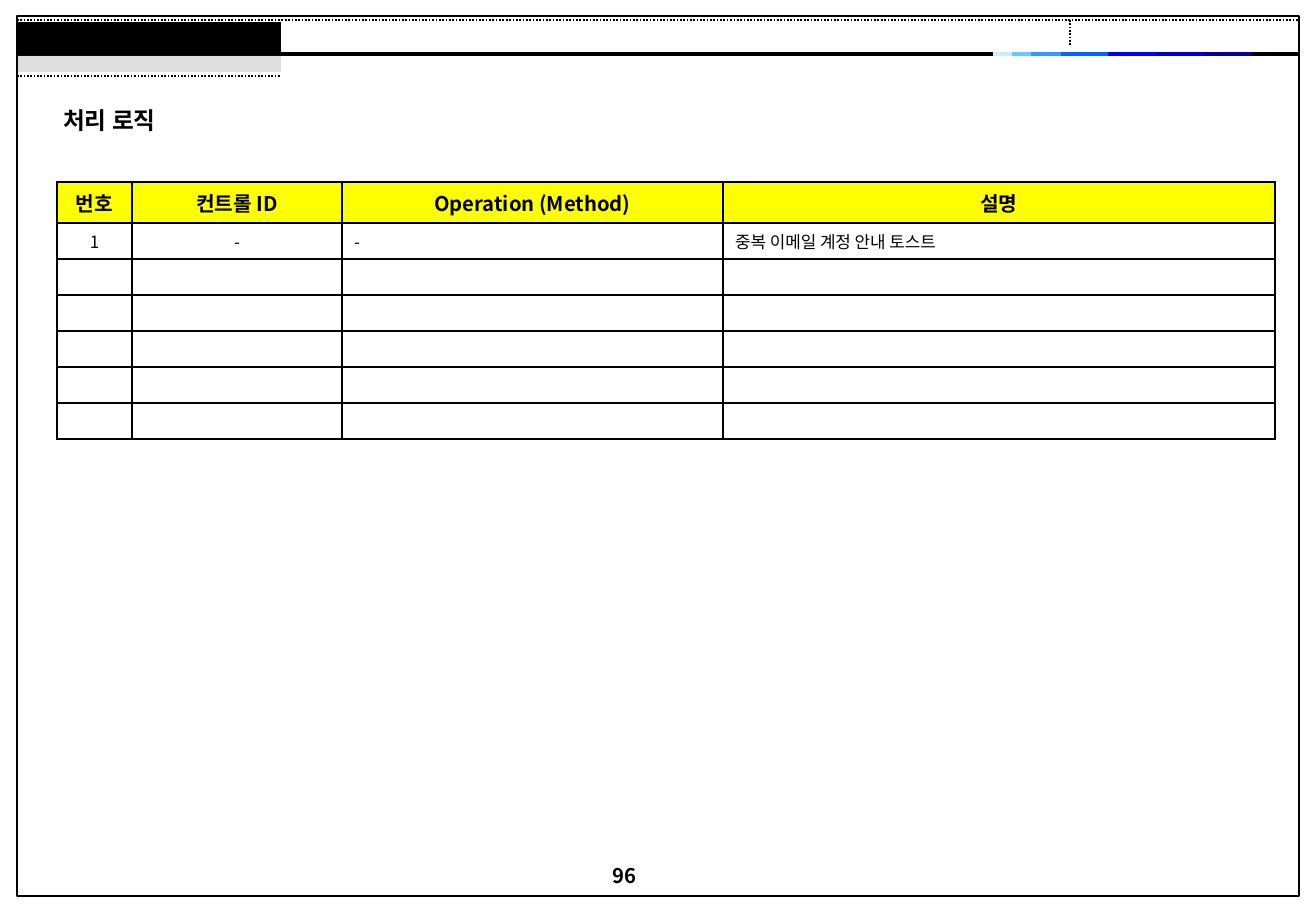
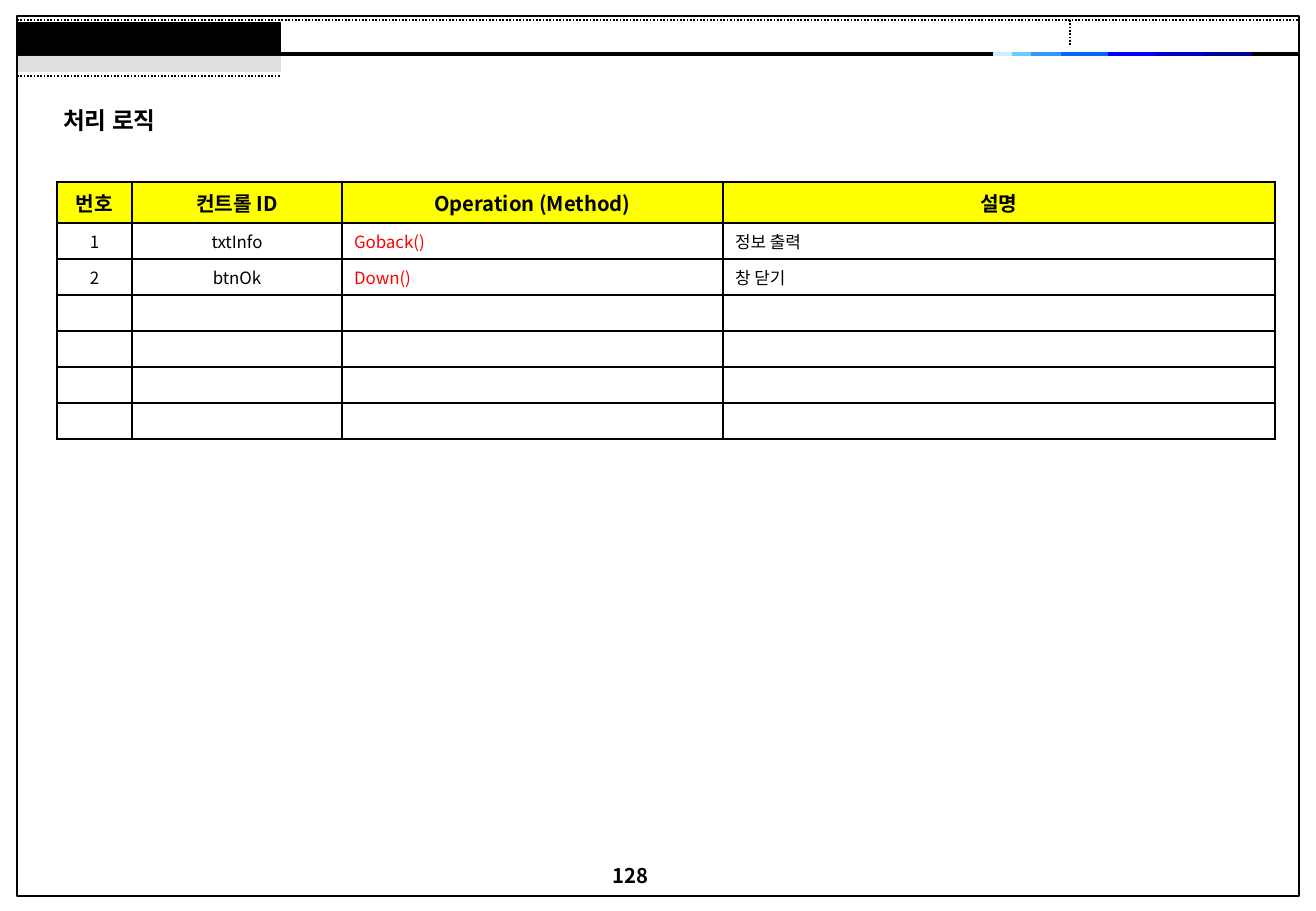
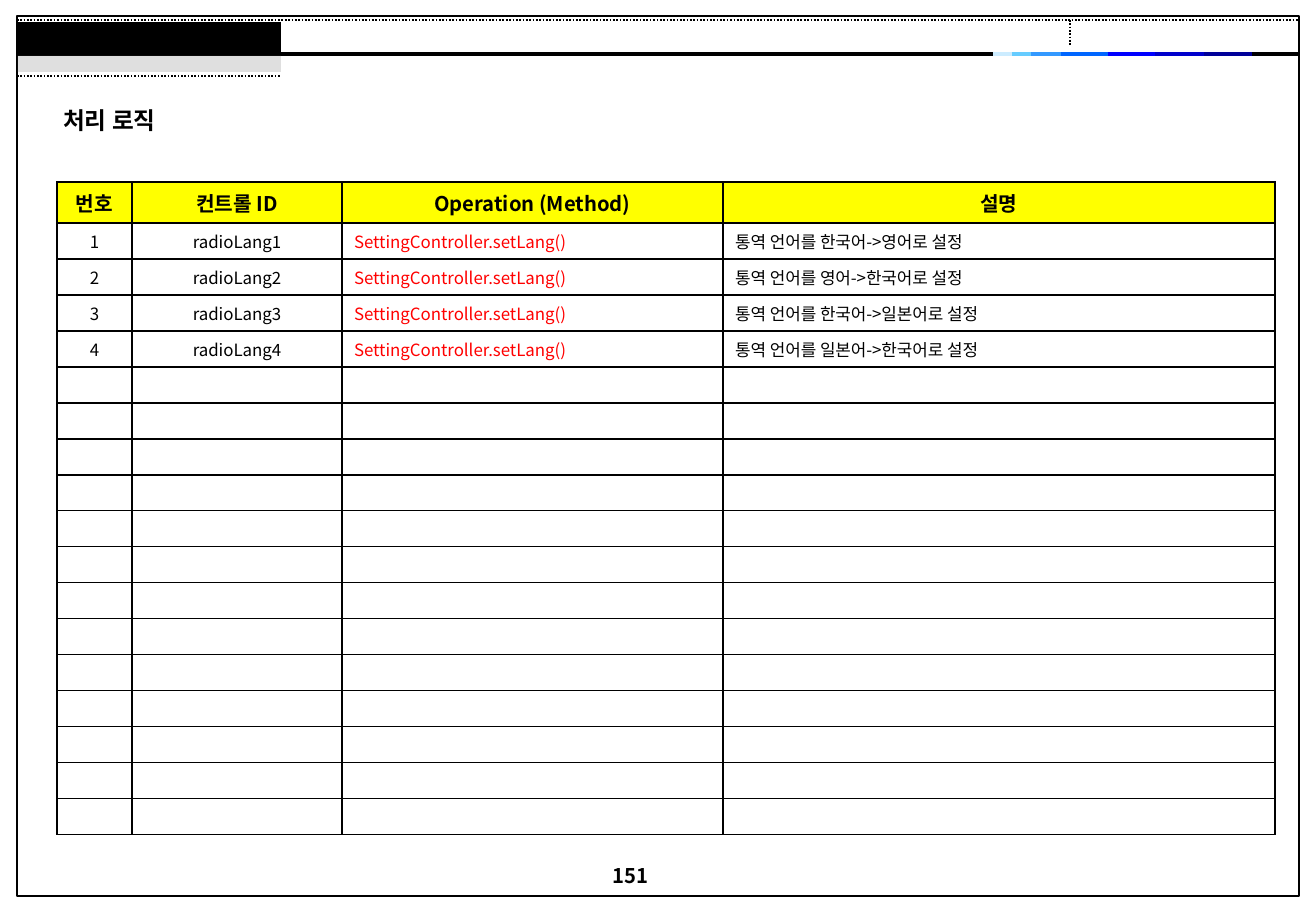
from itertools import pairwise

from lxml.etree import SubElement
from pptx import Presentation
from pptx.dml.color import RGBColor
from pptx.enum.dml import MSO_LINE
from pptx.enum.shapes import MSO_CONNECTOR, MSO_SHAPE
from pptx.enum.text import MSO_ANCHOR as Anchor, MSO_AUTO_SIZE as AutoSize, PP_ALIGN as Align
from pptx.oxml.ns import qn
from pptx.util import Emu, Pt

PX = 7526
FONT = "Noto Sans CJK KR"
COLORS = {"ink": "000000", "header": "FFFF00", "method": "FF0000", "band": "C0C0C0"}
RAMP = ["CCECFF", "66CCFF", "3399FF", "0066FF", "0000FF", "0000CC", "000099"]
RAMP_EDGES = [976, 995, 1014, 1044, 1091, 1138, 1187, 1235]

FRAME_BOX = (17, 16, 1282, 880)
TITLE_BOX = (51, 100, 244, 41)
PAGE_BOX = (601, 857, 114, 53)
TABLE_BOX = (57, 182, 1218)

HEADINGS = ("번호", "컨트롤 ID", "Operation (Method)", "설명")
COLUMN_WIDTHS = (75, 210, 381, 552)
HEADER_HEIGHT, ROW_HEIGHT = 41, 36

LANGUAGE_PAIRS = [("한국어", "영어"), ("영어", "한국어"), ("한국어", "일본어"), ("일본어", "한국어")]
PAGES = [
    ("96", 6, [("-", "-", "중복 이메일 계정 안내 토스트")]),
    ("128", 6, [("txtInfo", "Goback()", "정보 출력"), ("btnOk", "Down()", "창 닫기")]),
    ("151", 17, [
        (f"radioLang{number}", "SettingController.setLang()", f"통역 언어를 {source}->{target}로 설정")
        for number, (source, target) in enumerate(LANGUAGE_PAIRS, 1)
    ]),
]


def px(*lengths):
    """Turn pixel lengths into EMU."""
    return [Emu(length * PX) for length in lengths]


def rgb(value):
    """Turn a hex string into a colour."""
    return RGBColor.from_string(value)


def add_rule(slide, start, end, color=COLORS["ink"], width=1, dotted=False):
    """Draw a straight line without a shadow."""
    rule = slide.shapes.add_connector(MSO_CONNECTOR.STRAIGHT, *px(*start, *end))
    rule.line.color.rgb = rgb(color)
    rule.line.width = Pt(width)
    if dotted:
        rule.line.dash_style = MSO_LINE.ROUND_DOT
    SubElement(rule.element.find(qn("p:spPr")), qn("a:effectLst"))


def add_block(slide, box, fill=None, alpha=None):
    """Draw a filled rectangle, or an outlined one when no fill is given."""
    block = slide.shapes.add_shape(MSO_SHAPE.RECTANGLE, *px(*box))
    block.shadow.inherit = False
    if fill is None:
        block.fill.background()
        block.line.color.rgb = rgb(COLORS["ink"])
        block.line.width = Pt(1)
        return
    block.fill.solid()
    block.fill.fore_color.rgb = rgb(fill)
    block.line.fill.background()
    if alpha is not None:
        tint = next(block.element.iter(qn("a:srgbClr")))
        SubElement(tint, qn("a:alpha"), val=str(alpha * 1000))


def add_frame(slide, box):
    """Draw the page border and the header band inside the box."""
    left, top, width, _ = box
    right, band_y = left + width, top + 38
    add_block(slide, box)
    add_rule(slide, (left, band_y), (right, band_y), width=2.25)
    add_rule(slide, (left, top + 4), (right, top + 4), dotted=True)
    for color, (start, end) in zip(RAMP, pairwise(RAMP_EDGES)):
        add_rule(slide, (left + start, band_y), (left + end, band_y), color, 2.25)
    add_rule(slide, (left + 1053, top + 4), (left + 1053, top + 30), dotted=True)
    add_block(slide, (left + 1, top + 6, 263, 30), COLORS["ink"])
    add_block(slide, (left + 1, top + 40, 263, 16), COLORS["band"], alpha=50)
    add_rule(slide, (left, top + 60), (left + 264, top + 60), dotted=True)


def share_frame(slide, layout):
    """Put the frame on the layout in place of its footer placeholders."""
    for placeholder in list(layout.placeholders):
        if placeholder.placeholder_format.idx:
            layout.shapes.element.remove(placeholder.element)
    add_frame(slide, FRAME_BOX)
    for part in list(slide.shapes):
        if not part.is_placeholder:
            layout.shapes.element.append(part.element)


def write(frame, text, size, bold=False, color=COLORS["ink"], align=Align.LEFT):
    """Fill a text frame with one formatted paragraph."""
    frame.text = text
    paragraph = frame.paragraphs[0]
    paragraph.alignment = align
    for run in paragraph.runs:
        run.font.size = Pt(size)
        run.font.bold = bold
        run.font.color.rgb = rgb(color)
    if not text:
        SubElement(frame.paragraphs[0]._p, qn("a:endParaRPr"), sz=str(size * 100))


def add_title(slide, box):
    """Place the section title."""
    title = slide.shapes.title
    title.left, title.top, title.width, title.height = px(*box)
    title.text_frame.auto_size = AutoSize.NONE
    title.text_frame.vertical_anchor = Anchor.MIDDLE
    write(title.text_frame, "처리 로직", 14, bold=True)


def add_page_number(slide, box, number):
    """Place the page number."""
    page = slide.shapes.add_textbox(*px(*box))
    page.text_frame.word_wrap = True
    write(page.text_frame, number, 12, bold=True)


def add_borders(cell):
    """Give a cell thin black lines on all four sides."""
    properties = cell._tc.get_or_add_tcPr()
    for index, side in enumerate(("a:lnL", "a:lnR", "a:lnT", "a:lnB")):
        border = SubElement(properties, qn(side), w=str(Pt(1)))
        SubElement(SubElement(border, qn("a:solidFill")), qn("a:srgbClr"), val=COLORS["ink"])
        properties.insert(index, border)


def add_logic_table(slide, box, row_count, entries):
    """Build the table of controls, methods and descriptions."""
    left, top, width = box
    height = HEADER_HEIGHT + row_count * ROW_HEIGHT
    logic = slide.shapes.add_table(row_count + 1, len(HEADINGS), *px(left, top, width, height)).table
    logic.horz_banding = False
    for column, column_width in zip(logic.columns, px(*COLUMN_WIDTHS)):
        column.width = column_width
    numbered = [(str(number), *entry) for number, entry in enumerate(entries, 1)]
    blanks = [("",) * len(HEADINGS)] * (row_count - len(entries))
    for row_index, texts in enumerate([HEADINGS, *numbered, *blanks]):
        is_header = row_index == 0
        logic.rows[row_index].height = px(HEADER_HEIGHT if is_header else ROW_HEIGHT)[0]
        for column_index, text in enumerate(texts):
            cell = logic.cell(row_index, column_index)
            cell.vertical_anchor = Anchor.MIDDLE
            if is_header:
                cell.fill.solid()
                cell.fill.fore_color.rgb = rgb(COLORS["header"])
            else:
                cell.fill.background()
            add_borders(cell)
            is_method = column_index == 2 and text.endswith("()")
            write(
                cell.text_frame, text, 12 if is_header else 10, is_header,
                COLORS["method" if is_method else "ink"],
                Align.CENTER if is_header or column_index < 2 else Align.LEFT,
            )


def set_fonts(slide):
    """Use one font for the Latin and Korean text of a slide."""
    for properties in slide.element.iter(qn("a:rPr"), qn("a:endParaRPr")):
        for script in ("a:latin", "a:ea"):
            SubElement(properties, qn(script), typeface=FONT)


def main():
    """Build and save the slides."""
    deck = Presentation()
    deck.slide_width, deck.slide_height = px(1316, 911)
    layout = deck.slide_layouts[5]
    for index, (number, row_count, entries) in enumerate(PAGES):
        slide = deck.slides.add_slide(layout)
        if index == 0:
            share_frame(slide, layout)
        add_page_number(slide, PAGE_BOX, number)
        add_logic_table(slide, TABLE_BOX, row_count, entries)
        add_title(slide, TITLE_BOX)
        set_fonts(slide)
    deck.save("out.pptx")


if __name__ == "__main__":
    main()
